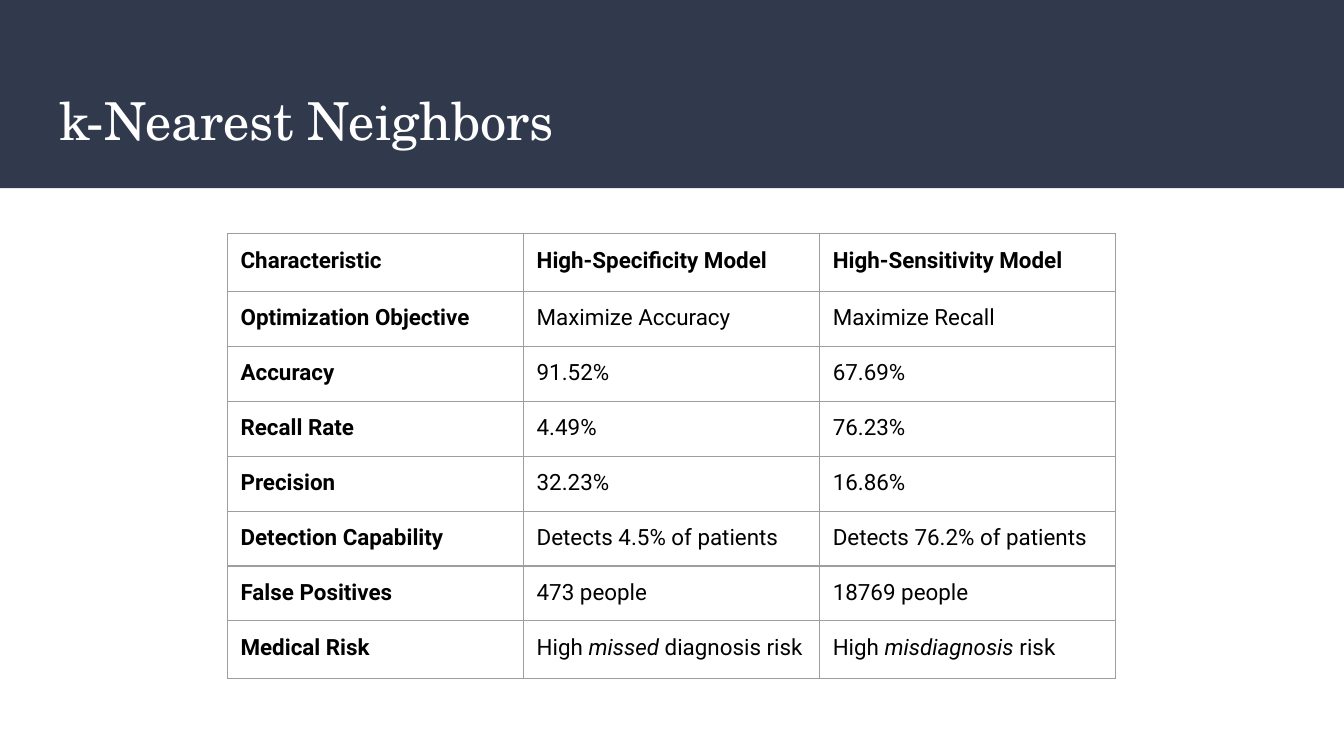
from lxml import etree
from pptx import Presentation
from pptx.dml.color import RGBColor
from pptx.enum.shapes import MSO_SHAPE
from pptx.enum.text import MSO_ANCHOR, PP_ALIGN
from pptx.oxml.ns import qn
from pptx.util import Inches, Pt

RECTANGLE = MSO_SHAPE.RECTANGLE
MIDDLE = MSO_ANCHOR.MIDDLE
TOP = MSO_ANCHOR.TOP
LEFT = PP_ALIGN.LEFT

NAVY, WHITE, BLACK, GREY = "31394D", "FFFFFF", "000000", "9E9E9E"
TITLE_FONT, BODY_FONT = "TeX Gyre Schola", "Roboto"
INSET = Inches(0.1)
TABLE_WIDTH, TABLE_HEIGHT = Inches(6.61), Inches(3.31)
OUTER_ROW_HEIGHT = Inches(0.43)

# Each cell is a text, or a list of texts in which every second one is italic
COMPARISON = [
    ["Characteristic", "High-Specificity Model", "High-Sensitivity Model"],
    ["Optimization Objective", "Maximize Accuracy", "Maximize Recall"],
    ["Accuracy", "91.52%", "67.69%"],
    ["Recall Rate", "4.49%", "76.23%"],
    ["Precision", "32.23%", "16.86%"],
    ["Detection Capability", "Detects 4.5% of patients", "Detects 76.2% of patients"],
    ["False Positives", "473 people", "18769 people"],
    ["Medical Risk", ["High ", "missed", " diagnosis risk"],
     ["High ", "misdiagnosis", " risk"]],
]


def rgb(hex_color):
    return RGBColor.from_string(hex_color)


def add_run(paragraph, text, font, size, color, bold=False, italic=False):
    run = paragraph.add_run()
    run.text = text
    run.font.name = font
    run.font.size = Pt(size)
    run.font.color.rgb = rgb(color)
    run.font.bold = bold
    run.font.italic = italic


def set_insets(area):
    area.margin_left = area.margin_right = INSET
    area.margin_top = area.margin_bottom = INSET


def add_title(slide, text):
    title = slide.shapes.title
    title.left, title.top = Inches(0.34), Inches(0.55)
    title.width, title.height = Inches(9.32), Inches(0.68)
    frame = title.text_frame
    set_insets(frame)
    frame.word_wrap = True
    frame.vertical_anchor = MIDDLE
    paragraph = frame.paragraphs[0]
    paragraph.alignment = LEFT
    add_run(paragraph, text, TITLE_FONT, 28, WHITE)


def add_header_band(slide, width):
    band = slide.shapes.add_shape(RECTANGLE, 0, 0, width, Inches(1.4))
    band.shadow.inherit = False
    band.fill.solid()
    band.fill.fore_color.rgb = rgb(NAVY)
    band.line.fill.background()
    # Keep the band behind the title
    slide.shapes.title.element.addprevious(band.element)


def set_borders(cell, color, width):
    properties = cell._tc.get_or_add_tcPr()
    for position, side in enumerate(("a:lnL", "a:lnR", "a:lnT", "a:lnB")):
        border = etree.Element(qn(side), w=str(Pt(width)))
        fill = etree.SubElement(border, qn("a:solidFill"))
        etree.SubElement(fill, qn("a:srgbClr"), val=color)
        properties.insert(position, border)


def fill_cell(cell, content, bold):
    cell.fill.background()
    set_borders(cell, GREY, 0.75)
    set_insets(cell)
    cell.vertical_anchor = TOP
    paragraph = cell.text_frame.paragraphs[0]
    parts = [content] if isinstance(content, str) else content
    for index, part in enumerate(parts):
        add_run(paragraph, part, BODY_FONT, 12, BLACK, bold, italic=index % 2 == 1)


def add_comparison(slide, rows):
    row_count, column_count = len(rows), len(rows[0])
    table = slide.shapes.add_table(
        row_count, column_count, Inches(1.69), Inches(1.74),
        TABLE_WIDTH, TABLE_HEIGHT).table
    table.first_row = False
    table.horz_banding = False

    # First and last rows are taller; the others share the rest
    inner_height = (TABLE_HEIGHT - 2 * OUTER_ROW_HEIGHT) // (row_count - 2)
    for r, contents in enumerate(rows):
        is_outer = r in (0, row_count - 1)
        table.rows[r].height = OUTER_ROW_HEIGHT if is_outer else inner_height
        for c, content in enumerate(contents):
            # Header row and first column are bold
            fill_cell(table.cell(r, c), content, bold=r == 0 or c == 0)


def main():
    presentation = Presentation()
    # Widescreen, 16:9
    presentation.slide_width = Inches(10)
    presentation.slide_height = Inches(10 * 9 / 16)
    title_only = presentation.slide_layouts[5]
    slide = presentation.slides.add_slide(title_only)

    # Header
    add_title(slide, "k-Nearest Neighbors")
    add_header_band(slide, presentation.slide_width)

    # Model comparison
    add_comparison(slide, COMPARISON)

    presentation.save("out.pptx")


if __name__ == "__main__":
    main()
